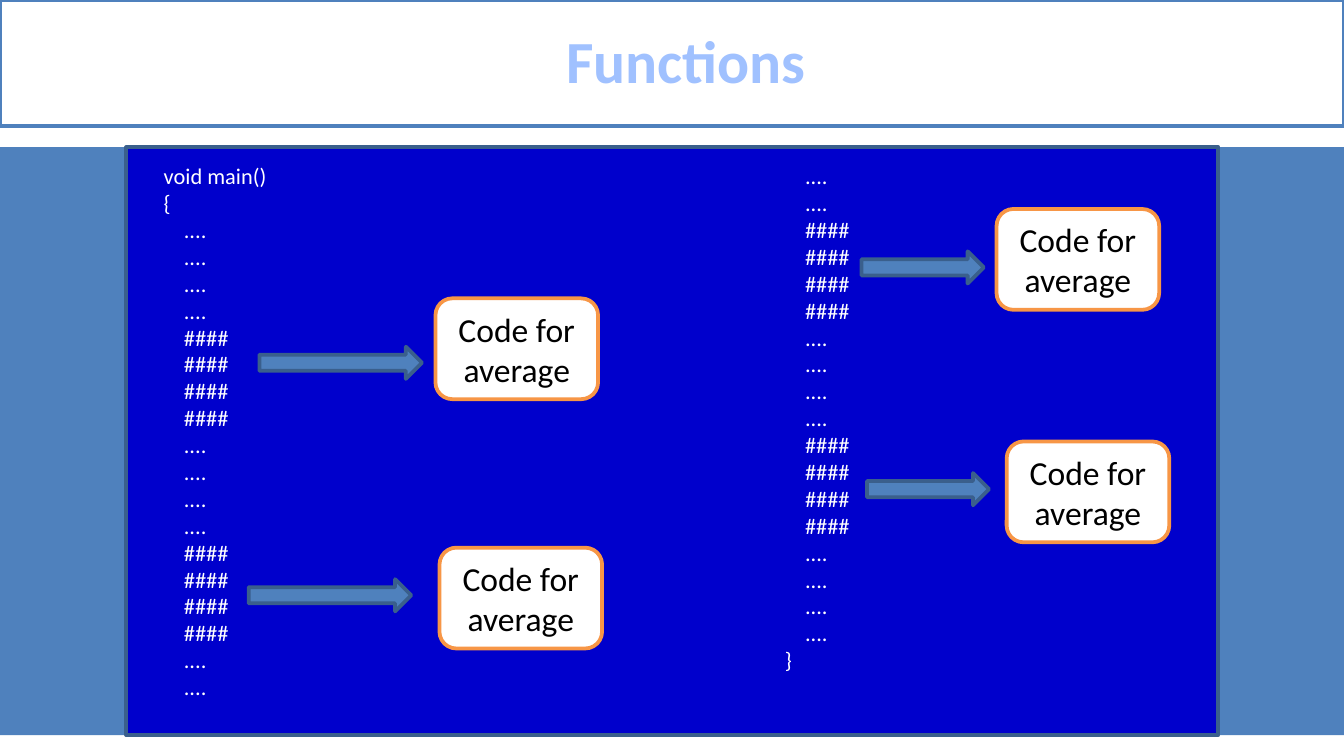
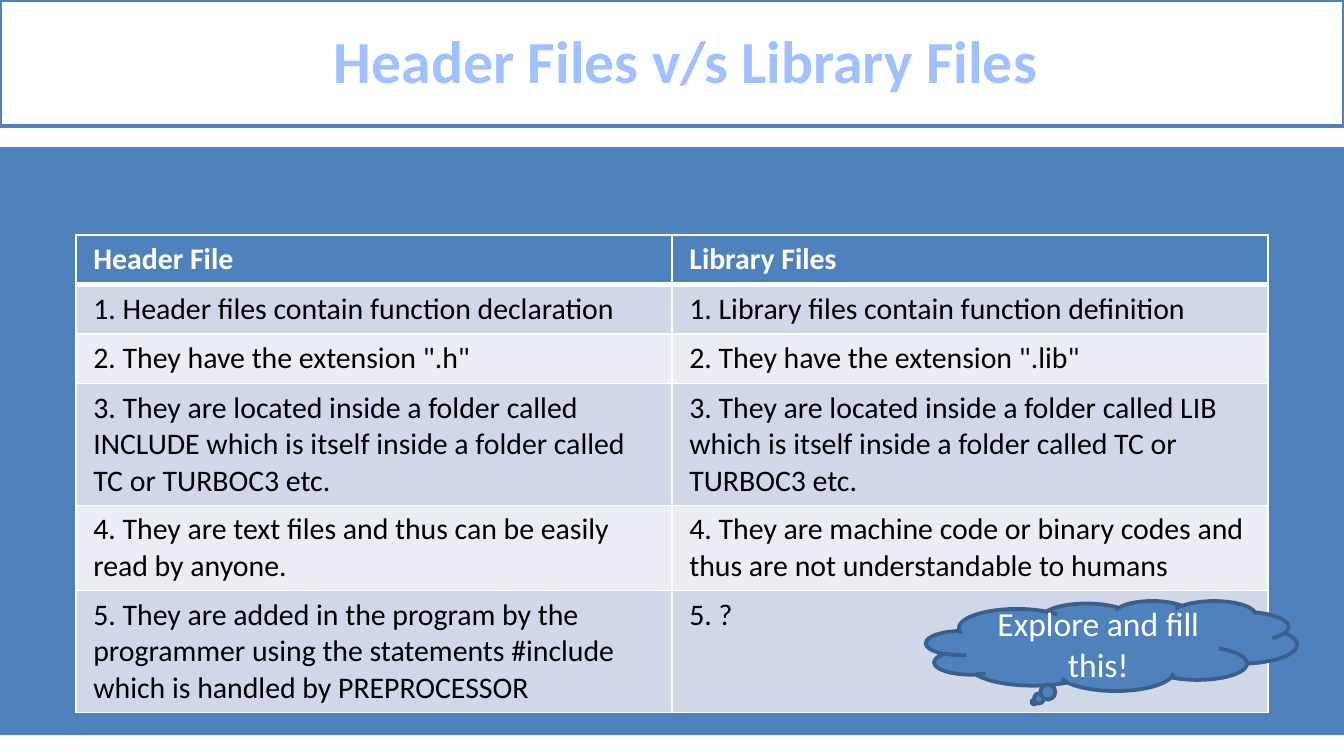
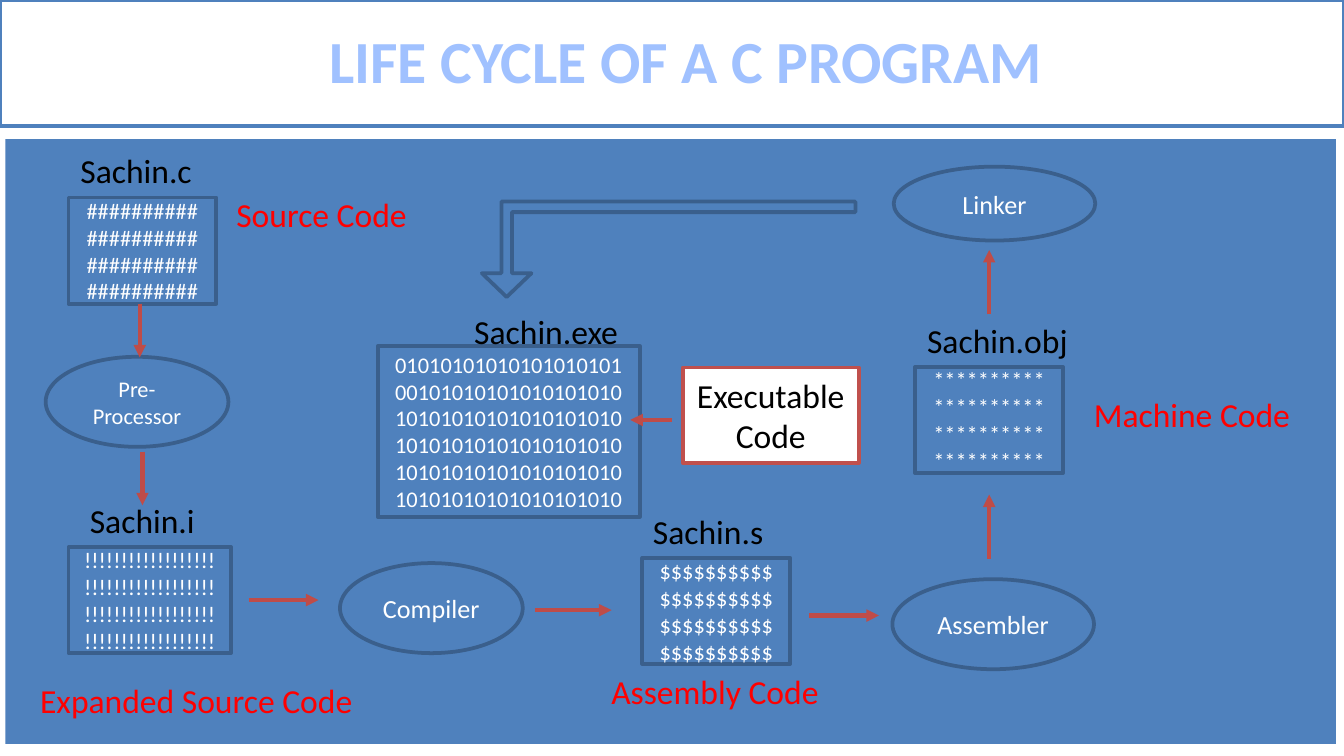
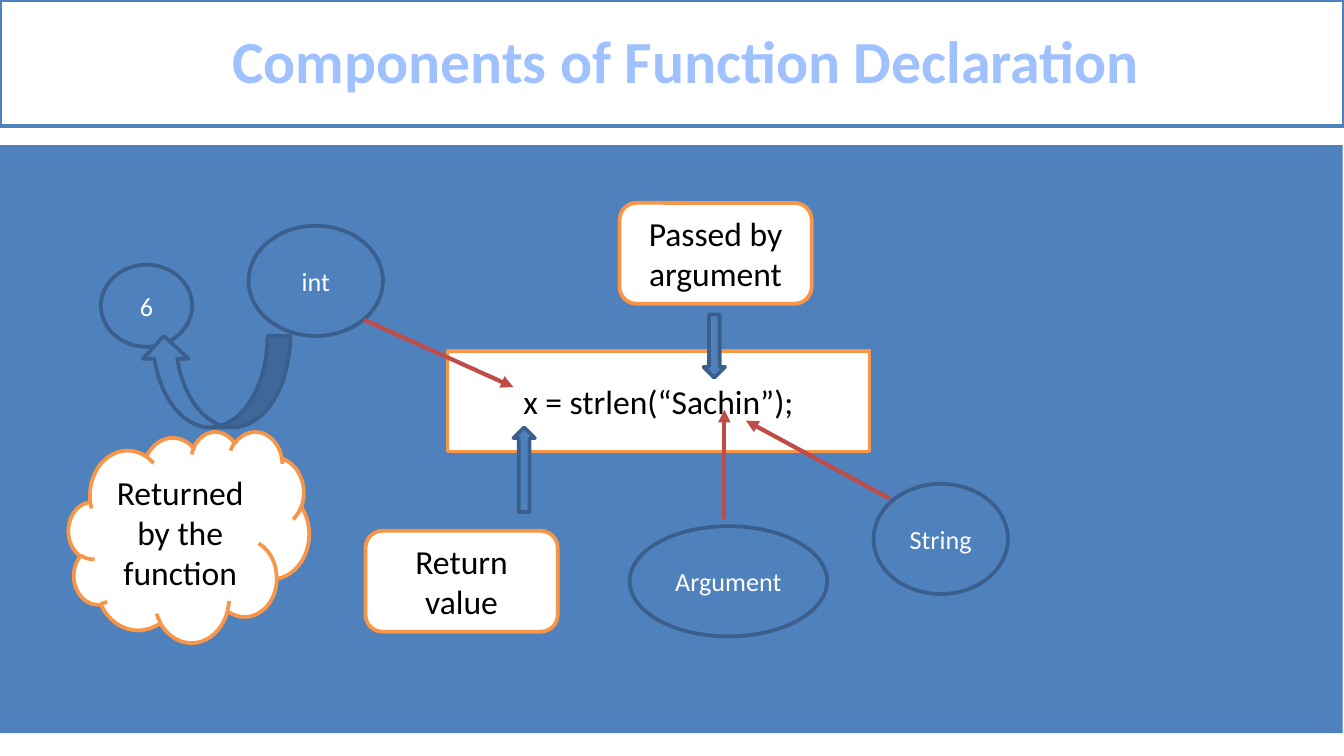
"""Build four slides on C functions, header files and the life cycle of a program."""
from dataclasses import dataclass
from typing import Optional

from lxml import etree
from pptx import Presentation, util as u
from pptx.dml.color import RGBColor
from pptx.enum import shapes, text
from pptx.oxml import parse_xml
from pptx.oxml.ns import nsdecls, qn

COLUMNS, ROWS = 100, 56.25
CELL = u.Inches(0.1)
FONT = "Calibri"
BLUE, NAVY, ORANGE, RED = "4F81BD", "3A5F8C", "F79646", "FF0000"
WHITE, BLACK, ARROW_RED = "FFFFFF", "000000", "BF4C48"
TITLE_STOPS = {0: "BFD3F9", 9: "A0C1FF", 50: "003D85", 79: "A0C1FF", 100: "BFD3F9"}
TITLE_OUTLINE = "467AB8"
STRIPES = ("E9EDF4", "D0D8E8")
KIND = shapes.MSO_SHAPE
CENTER = text.PP_ALIGN.CENTER


@dataclass(frozen=True)
class Look:
    """Fill, outline and text colour of a box."""
    fill: str
    line: Optional[str]
    ink: str


BAND = Look(BLUE, None, WHITE)
NODE = Look(BLUE, NAVY, WHITE)
PANEL = Look("0000CC", NAVY, WHITE)
CARD = Look(WHITE, ORANGE, BLACK)
BADGE = Look(WHITE, "C0504D", BLACK)


@dataclass(frozen=True)
class Box:
    """A preset shape on the grid, with one paragraph per line."""
    kind: KIND
    look: Look
    place: tuple[float, float, float, float]
    lines: tuple[str, ...] = ()
    size: int = 18
    turn: int = 0
    flip: bool = False


@dataclass(frozen=True)
class Label:
    """A one-line caption on the grid."""
    words: str
    col: float
    row: float
    cols: float
    ink: str = BLACK


@dataclass(frozen=True)
class Arrow:
    """A straight arrow between two grid points."""
    start: tuple[float, float]
    end: tuple[float, float]


def color(value: str) -> RGBColor:
    """Turn a hex string into a colour."""
    return RGBColor.from_string(value)


def cells(*values: float) -> list[u.Emu]:
    """Turn grid cells into lengths."""
    return [u.Emu(round(value * CELL)) for value in values]


def paint(shape, look: Look) -> None:
    """Give a shape its fill and outline."""
    shape.fill.solid()
    shape.fill.fore_color.rgb = color(look.fill)
    if look.line is None:
        shape.line.fill.background()
    else:
        shape.line.color.rgb = color(look.line)
        shape.line.width = u.Pt(2)


def write(para, words: str, size: int, ink: Optional[str], bold: bool = False):
    """Add one formatted run to a paragraph."""
    span = para.add_run()
    span.text = words
    span.font.name = FONT
    span.font.size = u.Pt(size)
    span.font.bold = bold
    if ink:
        span.font.color.rgb = color(ink)
    return span


def paragraphs(frame, count: int) -> list:
    """Return the given number of paragraphs of an empty frame."""
    return [frame.paragraphs[0]] + [frame.add_paragraph() for _ in range(count - 1)]


def draw_box(page, box: Box) -> None:
    """Draw a preset shape with its centred text."""
    shape = page.shapes.add_shape(box.kind, *cells(*box.place))
    shape.shadow.inherit = False
    paint(shape, box.look)
    shape.rotation = box.turn
    if box.flip:
        shape.element.spPr.find(qn("a:xfrm")).set("flipH", "1")
    if box.kind == KIND.BENT_UP_ARROW:
        for index, value in enumerate((0.11, 0.26, 0.25)):
            shape.adjustments[index] = value
    if not box.lines:
        return
    frame = shape.text_frame
    frame.word_wrap = True
    frame.vertical_anchor = text.MSO_ANCHOR.MIDDLE
    for para, words in zip(paragraphs(frame, len(box.lines)), box.lines):
        para.alignment = CENTER
        write(para, words, box.size, box.look.ink)


def draw_label(page, label: Label) -> None:
    """Draw a caption that does not wrap."""
    frame = page.shapes.add_textbox(*cells(label.col, label.row, label.cols, 4)).text_frame
    frame.word_wrap = False
    frame.auto_size = text.MSO_AUTO_SIZE.SHAPE_TO_FIT_TEXT
    write(frame.paragraphs[0], label.words, 18, label.ink)


def draw_arrow(page, arrow: Arrow) -> None:
    """Draw a line with a triangle at its end."""
    line = page.shapes.add_connector(
        shapes.MSO_CONNECTOR.STRAIGHT, *cells(*arrow.start, *arrow.end))
    line.line.color.rgb = color(ARROW_RED)
    line.line.width = u.Pt(2.25)
    etree.SubElement(line.line._get_or_add_ln(), qn("a:tailEnd"), type="triangle")
    etree.SubElement(line._element.spPr, qn("a:effectLst"))


def style_title(span) -> None:
    """Give the title run its outline and gradient."""
    stops = "".join(f'<a:gs pos="{share * 1000}"><a:srgbClr val="{value}"/></a:gs>'
                    for share, value in TITLE_STOPS.items())
    outline = (f'<a:ln {nsdecls("a")} w="{u.Pt(0.83)}"><a:solidFill>'
               f'<a:srgbClr val="{TITLE_OUTLINE}"/></a:solidFill></a:ln>')
    gradient = (f'<a:gradFill {nsdecls("a")}><a:gsLst>{stops}</a:gsLst>'
                '<a:lin ang="5400000" scaled="0"/></a:gradFill>')
    for index, xml in enumerate((outline, gradient)):
        span.font._element.insert(index, parse_xml(xml))


def add_page(deck, heading: str, band=(0, 10.95, COLUMNS, 43.75)):
    """Add a page with the shared band and title bar."""
    page = deck.slides.add_slide(deck.slide_layouts[5])
    draw_box(page, Box(KIND.RECTANGLE, BAND, band))
    title = page.shapes.title
    title.left, title.top, title.width, title.height = cells(0, 0, COLUMNS, 9.4)
    paint(title, Look(WHITE, BLUE, BLUE))
    frame = title.text_frame
    frame.auto_size = text.MSO_AUTO_SIZE.NONE
    frame.vertical_anchor = text.MSO_ANCHOR.MIDDLE
    para = frame.paragraphs[0]
    para.alignment = CENTER
    para.line_spacing = 0.96
    para._p.get_or_add_pPr().set("marL", str(u.Inches(0.21)))
    style_title(write(para, heading, 32, None, bold=True))
    return page


def draw_all(page, boxes=(), labels=(), arrows=()) -> None:
    """Draw boxes, then captions, then arrows."""
    for draw, items in ((draw_box, boxes), (draw_label, labels), (draw_arrow, arrows)):
        for item in items:
            draw(page, item)


def add_code(page) -> None:
    """Write the program listing in two text columns."""
    dots, marks = ["    ...."] * 4, ["    ####"] * 4
    listing = ["void main()", "{"] + (dots + marks) * 4 + dots + ["}"]
    frame = page.shapes.add_textbox(*cells(1.2, 11.6, 94.4, 42)).text_frame
    frame.word_wrap = True
    frame._txBody.bodyPr.set("numCol", "2")
    for para, words in zip(paragraphs(frame, len(listing)), listing):
        props = para._p.get_or_add_pPr()
        props.set("marL", str(u.Inches(1.38)))
        props.set("indent", str(u.Inches(-0.38)))
        write(para, words, 12, WHITE)


def functions_page(deck) -> None:
    """Show the same code repeated in one program."""
    page = add_page(deck, "Functions")
    draw_box(page, Box(KIND.RECTANGLE, PANEL, (9.4, 10.95, 81.25, 43.75)))
    add_code(page)
    cards = ((32.4, 22.2), (32.7, 40.75), (74.15, 15.55), (74.9, 32.85))
    pointers = ((19.3, 25.8, 12.1), (18.5, 43.1, 12.1), (64.1, 18.7, 9.1), (64.5, 35.2, 9.1))
    draw_all(page, [Box(KIND.ROUNDED_RECTANGLE, CARD, (*corner, 12.1, 7.5), ("Code for average",))
                    for corner in cards])
    draw_all(page, [Box(KIND.RIGHT_ARROW, NODE, (*pointer, 2.4)) for pointer in pointers])


def add_borders(cell, bottom: float) -> None:
    """Give a table cell white borders, with its own bottom width."""
    props = cell._tc.get_or_add_tcPr()
    widths = {"lnL": 1, "lnR": 1, "lnT": 1, "lnB": bottom}
    for index, (side, width) in enumerate(widths.items()):
        props.insert(index, parse_xml(
            f'<a:{side} {nsdecls("a")} w="{u.Pt(width)}"><a:solidFill>'
            f'<a:srgbClr val="{WHITE}"/></a:solidFill></a:{side}>'))


def files_page(deck) -> None:
    """Compare header files with library files."""
    page = add_page(deck, "Header Files v/s Library Files")
    rows = (
        ("Header File", "Library Files"),
        ("1. Header files contain function declaration",
         "1. Library files contain function definition"),
        ('2. They have the extension ".h"', '2. They have the extension ".lib"'),
        ("3. They are located inside a folder called INCLUDE which is itself inside "
         "a folder called TC or TURBOC3 etc.",
         "3. They are located inside a folder called LIB which is itself inside "
         "a folder called TC or TURBOC3 etc."),
        ("4. They are text files and thus can be easily read by anyone.",
         "4. They are machine code or binary codes and thus are not understandable to humans"),
        ("5. They are added in the program by the programmer using the statements "
         "#include which is handled by PREPROCESSOR", "5. ?"),
    )
    height = 3.68
    table = page.shapes.add_table(
        len(rows), 2, *cells(5.65, 17.5, 88.7, height * len(rows))).table
    for number, row in enumerate(rows):
        table.rows[number].height = cells(height)[0]
        head = number == 0
        for column, words in enumerate(row):
            cell = table.cell(number, column)
            cell.fill.solid()
            cell.fill.fore_color.rgb = color(BLUE if head else STRIPES[number % 2])
            cell.margin_left = cell.margin_right = u.Inches(0.13)
            cell.margin_top = cell.margin_bottom = u.Pt(3.3)
            if head:
                add_borders(cell, 3)
            write(cell.text_frame.paragraphs[0], words, 16, WHITE if head else BLACK, head)
    draw_box(page, Box(KIND.CLOUD_CALLOUT, NODE, (68.9, 44.7, 27.6, 6.7),
                       ("Explore and fill this!",)))


def life_cycle_page(deck) -> None:
    """Follow a program from source code to executable."""
    page = add_page(deck, "LIFE CYCLE OF A C PROGRAM", (0.4, 10.35, 99, 45))
    files = (
        ((5.1, 14.7, 11, 7.9), "#" * 40),
        ((5.1, 40.7, 12.1, 7.9), "!" * 72),
        ((47.8, 41.5, 11, 7.9), "$" * 40),
        ((68.1, 27.3, 11, 7.9), "*" * 40),
        ((28.1, 25.75, 19.5, 12.7), "01" * 10 + "00" + "10" * 49),
    )
    tools = (
        ((3.4, 26.55, 13.6, 6.7), ("Pre-", "Processor"), 12),
        ((25.3, 41.9, 13.6, 6.7), ("Compiler",), 14),
        ((66.4, 43.1, 15, 6.7), ("Assembler",), 14),
        ((66.5, 12.4, 15, 5.5), ("Linker",), 14),
    )
    boxes = [Box(KIND.RECTANGLE, NODE, place, (content,), 12) for place, content in files]
    boxes += [Box(KIND.OVAL, NODE, *tool) for tool in tools]
    boxes += [
        Box(KIND.BENT_UP_ARROW, NODE, (35.85, 15, 27.8, 7.1), turn=180),
        Box(KIND.RECTANGLE, BADGE, (50.8, 27.35, 13.1, 7.1), ("Executable", "Code")),
    ]
    labels = (
        Label("Sachin.c", 5, 10.7, 10.4),
        Label("Sachin.i", 5.7, 36.7, 9.9),
        Label("Sachin.s", 47.6, 37.5, 10.4),
        Label("Sachin.obj", 68, 23.3, 12.6),
        Label("Sachin.exe", 34.3, 22.65, 12.8),
        Label("Source Code", 16.6, 13.95, 14.9, RED),
        Label("Expanded Source Code", 2, 50.1, 25.6, RED),
        Label("Assembly Code", 44.5, 49.4, 17.6, RED),
        Label("Machine Code", 80.4, 28.8, 16.8, RED),
    )
    arrows = (
        Arrow((10.4, 22.6), (10.4, 26.6)),
        Arrow((10.6, 33.6), (10.6, 37.6)),
        Arrow((18.5, 44.65), (23.7, 44.65)),
        Arrow((39.8, 45.4), (45.5, 45.4)),
        Arrow((60.2, 45.8), (65.4, 45.8)),
        Arrow((73.6, 41.6), (73.6, 36.8)),
        Arrow((73.6, 23.4), (73.6, 18.6)),
        Arrow((50, 31.25), (46.9, 31.25)),
    )
    draw_all(page, boxes, labels, arrows)


def components_page(deck) -> None:
    """Name the parts of a function call."""
    page = add_page(deck, "Components of Function Declaration", (-0.1, 10.8, COLUMNS, 43.75))
    ovals = (
        ((46.85, 39.15, 14.7, 8.2), "Argument"),
        ((65, 36, 10, 8.2), "String"),
        ((7.5, 19.7, 6.8, 6.1), "6"),
        ((18.5, 16.8, 10, 8.2), "int"),
    )
    boxes = [
        Box(KIND.RECTANGLE, CARD, (33.3, 26.1, 31.4, 7.5), ("x = strlen(“Sachin”);",)),
        Box(KIND.DOWN_ARROW, NODE, (52.35, 23.4, 1.6, 4.7)),
        Box(KIND.ROUNDED_RECTANGLE, CARD, (46.1, 15.1, 14.3, 7.5), ("Passed by", "argument")),
        Box(KIND.DOWN_ARROW, NODE, (38.2, 31.8, 1.6, 6.3), turn=180),
        Box(KIND.ROUNDED_RECTANGLE, CARD, (27.2, 39.5, 14.3, 7.5), ("Return", "value")),
    ]
    boxes += [Box(KIND.OVAL, NODE, place, (words,), 14) for place, words in ovals]
    boxes += [
        Box(KIND.CURVED_UP_ARROW, NODE, (10.5, 25, 11.1, 6.8), flip=True),
        Box(KIND.CLOUD, CARD, (5.1, 32.1, 17.9, 15.7), ("Returned by the", "function")),
    ]
    arrows = (
        Arrow((53.9, 38.6), (53.9, 30.5)),
        Arrow((66.2, 37.1), (55.5, 31.3)),
        Arrow((27.1, 23.8), (38.2, 28.8)),
    )
    draw_all(page, boxes, arrows=arrows)


def main() -> None:
    """Build and save the deck."""
    deck = Presentation()
    deck.slide_width, deck.slide_height = cells(COLUMNS, ROWS)
    for build in (functions_page, files_page, life_cycle_page, components_page):
        build(deck)
    deck.save("out.pptx")


if __name__ == "__main__":
    main()
